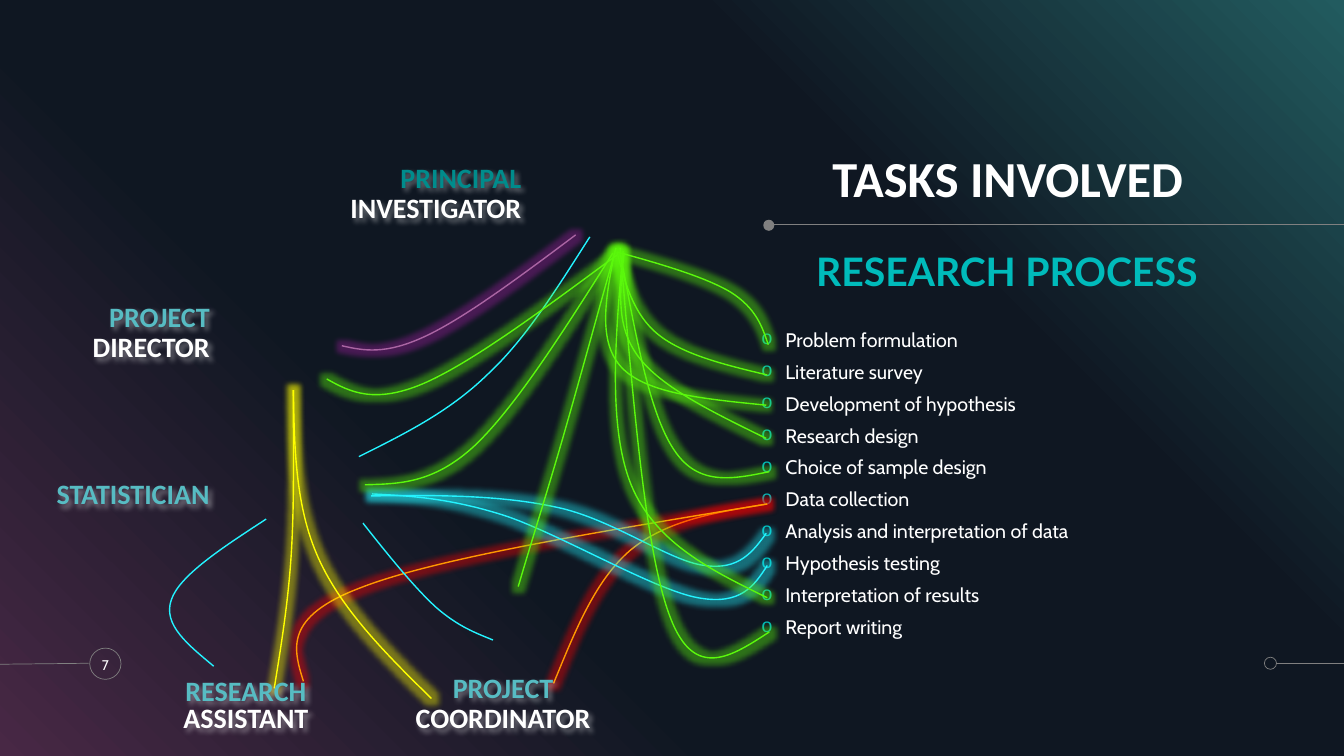
import pptx
import pptx.dml.color
import pptx.enum.shapes
import pptx.enum.text
import pptx.oxml
import pptx.oxml.ns
import pptx.util
from lxml import etree

Inches = pptx.util.Inches
Pt = pptx.util.Pt
RGBColor = pptx.dml.color.RGBColor
Shape = pptx.enum.shapes.MSO_SHAPE
Align = pptx.enum.text.PP_ALIGN
Anchor = pptx.enum.text.MSO_ANCHOR
qn = pptx.oxml.ns.qn

WHITE = RGBColor(0xFF, 0xFF, 0xFF)
BLACK = RGBColor(0x00, 0x00, 0x00)
GRAY = RGBColor(0x80, 0x80, 0x80)
PLUM = RGBColor(0x48, 0x28, 0x45)
NAVY = RGBColor(0x0F, 0x17, 0x22)
PINE = RGBColor(0x22, 0x5B, 0x5F)
TEAL = RGBColor(0x00, 0xBB, 0xBB)
DEEP_TEAL = RGBColor(0x00, 0x8C, 0x8C)
SOFT_TEAL = RGBColor(0x57, 0xBC, 0xC3)
GREEN = RGBColor(0x5B, 0xF8, 0x0C)
ORANGE = RGBColor(0xFF, 0x99, 0x00)
RED = RGBColor(0xFF, 0x00, 0x00)
CYAN = RGBColor(0x24, 0xF3, 0xFF)
YELLOW = RGBColor(0xFF, 0xFF, 0x00)
PURPLE = RGBColor(0xAA, 0x65, 0xA3)
MAGENTA = RGBColor(0xA0, 0x20, 0xA0)

BACKDROP_STOPS = [(0, PLUM), (34, NAVY), (69, NAVY), (100, PINE)]
UNITS_PER_INCH = 1000

TASKS = [
    "Problem formulation", "Literature survey", "Development of hypothesis",
    "Research design", "Choice of sample design", "Data collection",
    "Analysis and interpretation of data", "Hypothesis testing",
    "Interpretation of results", "Report writing",
]

# Each curve: line colour, glow colour, start point and cubic control points
TASK_CURVES = [
    (GREEN, GREEN, [(6.1, 2.49), (6.01, 2.94), (5.92, 3.39), (6.17, 3.65), (6.42, 3.91), (7.01, 3.96), (7.6, 4.02)]),
    (GREEN, GREEN, [(6.12, 2.5), (6.56, 2.62), (7, 2.75), (7.25, 2.9), (7.5, 3.06), (7.56, 3.24), (7.62, 3.42)]),
    (GREEN, GREEN, [(6.12, 2.5), (6.2, 2.81), (6.28, 3.12), (6.53, 3.32), (6.78, 3.52), (7.19, 3.62), (7.61, 3.72)]),
    (GREEN, GREEN, [(6.19, 2.51), (6.15, 2.88), (6.1, 3.24), (6.34, 3.55), (6.57, 3.85), (7.09, 4.1), (7.6, 4.35)]),
    (GREEN, GREEN, [(6.15, 2.5), (6.3, 3.3), (6.44, 4.11), (6.69, 4.47), (6.93, 4.83), (7.28, 4.75), (7.63, 4.68)]),
    (ORANGE, RED, [(5.49, 6.78), (5.7, 6.27), (5.9, 5.76), (6.25, 5.46), (6.61, 5.16), (7.11, 5.08), (7.61, 5)]),
    (ORANGE, RED, [(3.01, 6.76), (2.91, 6.44), (2.81, 6.12), (3.58, 5.83), (4.35, 5.53), (5.98, 5.27), (7.61, 5)]),
    (CYAN, CYAN, [(3.68, 4.92), (4.32, 4.91), (4.96, 4.91), (5.51, 5.03), (6.06, 5.14), (6.64, 5.57), (6.99, 5.61),
                  (7.33, 5.66), (7.47, 5.47), (7.6, 5.29)]),
    (CYAN, CYAN, [(3.69, 4.9), (4.07, 4.92), (4.45, 4.94), (4.99, 5.11), (5.52, 5.28), (6.48, 5.85), (6.92, 5.93),
                  (7.35, 6.01), (7.48, 5.81), (7.61, 5.61)]),
    (GREEN, GREEN, [(6.18, 2.49), (6.1, 3.36), (6.03, 4.24), (6.26, 4.81), (6.5, 5.39), (7.06, 5.66), (7.61, 5.93)]),
    (GREEN, GREEN, [(6.15, 2.46), (6.28, 3.98), (6.4, 5.49), (6.65, 6.13), (6.89, 6.76), (7.26, 6.51), (7.63, 6.27)]),
]
DIRECTOR_CURVES = [
    (YELLOW, YELLOW, [(2.91, 3.87), (2.91, 4.43), (2.92, 4.99), (2.89, 5.48), (2.86, 5.97), (2.79, 6.4), (2.72, 6.83)]),
    (YELLOW, YELLOW, [(2.91, 3.87), (2.92, 4.45), (2.93, 5.03), (3.16, 5.54), (3.39, 6.05), (3.83, 6.49), (4.28, 6.93)]),
    (CYAN, None, [(3.56, 4.53), (4, 4.31), (4.45, 4.09), (4.83, 3.72), (5.22, 3.36), (5.53, 2.85), (5.85, 2.35)]),
    (PURPLE, MAGENTA, [(3.39, 3.43), (3.61, 3.48), (3.82, 3.52), (4.21, 3.34), (4.6, 3.16), (5.15, 2.75), (5.71, 2.33)]),
]
TEAM_CURVES = [
    (CYAN, None, [(2.64, 5.15), (2.21, 5.43), (1.78, 5.71), (1.7, 5.95), (1.61, 6.2), (1.87, 6.4), (2.12, 6.61)]),
    (CYAN, None, [(3.6, 5.19), (3.86, 5.52), (4.12, 5.84), (4.33, 6.03), (4.55, 6.22), (4.72, 6.28), (4.89, 6.35)]),
    (GREEN, GREEN, [(6.11, 2.46), (5.94, 3.07), (5.77, 3.69), (5.61, 4.25), (5.45, 4.81), (5.29, 5.31), (5.14, 5.82)]),
    (GREEN, GREEN, [(6.12, 2.53), (5.4, 3.06), (4.68, 3.6), (4.19, 3.81), (3.71, 4.01), (3.47, 3.89), (3.24, 3.76)]),
    (GREEN, GREEN, [(6.08, 2.51), (5.6, 3.27), (5.12, 4.03), (4.71, 4.42), (4.3, 4.8), (3.96, 4.8), (3.62, 4.81)]),
]


def add_xml(parent, tag, **attributes):
    return etree.SubElement(parent, qn(tag), {name: str(value) for name, value in attributes.items()})


def sample_curve(points, steps=16):
    """Points along a chain of cubic segments."""
    samples = [points[0]]
    for first in range(0, len(points) - 1, 3):
        controls = points[first:first + 4]
        for step in range(1, steps + 1):
            t = step / steps
            weights = ((1 - t) ** 3, 3 * t * (1 - t) ** 2, 3 * t * t * (1 - t), t ** 3)
            samples.append(tuple(sum(w * c[axis] for w, c in zip(weights, controls)) for axis in (0, 1)))
    return samples


class TaskSlide:
    def __init__(self, presentation):
        self.shapes = presentation.slides.add_slide(presentation.slide_layouts[6]).shapes

    def effect(self, shape, kind, color, opacity, **attributes):
        shape.shadow.inherit = False
        effects = shape._element.spPr.find(qn("a:effectLst"))
        color_element = add_xml(add_xml(effects, kind, **attributes), "a:srgbClr", val=color)
        add_xml(color_element, "a:alpha", val=opacity * 1000)

    def backdrop(self, width, height):
        shape = self.shapes.add_shape(Shape.RECTANGLE, 0, 0, width, height)
        shape.shadow.inherit = False
        shape.line.fill.background()
        shape.fill.gradient()
        shape.fill.gradient_angle = 45
        stops = next(shape._element.spPr.iter(qn("a:gsLst")))
        for stop in list(stops):
            stops.remove(stop)
        for position, color in BACKDROP_STOPS:
            add_xml(add_xml(stops, "a:gs", pos=position * 1000), "a:srgbClr", val=color)

    def rule(self, x1, y1, x2, y2):
        line = self.shapes.add_connector(pptx.enum.shapes.MSO_CONNECTOR.STRAIGHT,
                                         Inches(x1), Inches(y1), Inches(x2), Inches(y2))
        line.line.color.rgb = GRAY
        line.line.width = Pt(0.5)
        add_xml(line._element.spPr, "a:effectLst")

    def circle(self, left, top, size, filled=False):
        shape = self.shapes.add_shape(Shape.OVAL, Inches(left), Inches(top), Inches(size), Inches(size))
        shape.shadow.inherit = False
        if filled:
            shape.fill.solid()
            shape.fill.fore_color.rgb = GRAY
            shape.line.fill.background()
        else:
            shape.fill.background()
            shape.line.color.rgb = GRAY
            shape.line.width = Pt(0.5)

    def text(self, box, lines, size, font, align=Align.CENTER, anchor=Anchor.TOP,
             bold=False, spacing=None, bullets=False):
        """Add a text box; lines holds (text, colour) pairs."""
        shape = self.shapes.add_textbox(*map(Inches, box))
        frame = shape.text_frame
        frame.word_wrap = True
        frame.vertical_anchor = anchor
        frame.margin_left = frame.margin_right = frame.margin_top = frame.margin_bottom = 0
        for index, (content, color) in enumerate(lines):
            paragraph = frame.add_paragraph() if index else frame.paragraphs[0]
            paragraph.text = content
            paragraph.alignment = align
            if spacing:
                paragraph.line_spacing = spacing
            if bullets:
                if index:
                    paragraph.space_before = Pt(6)
                self.bullet(paragraph)
            paragraph.font.size = Pt(size)
            paragraph.font.name = font
            paragraph.font.bold = bold
            paragraph.font.color.rgb = color
        return shape

    def bullet(self, paragraph):
        properties = paragraph._p.get_or_add_pPr()
        properties.set("marL", str(Inches(0.24)))
        properties.set("indent", str(-Inches(0.24)))
        add_xml(add_xml(properties, "a:buClr"), "a:srgbClr", val=TEAL)
        add_xml(properties, "a:buFont", typeface="Courier New")
        add_xml(properties, "a:buChar", char="o")

    def role(self, box, lines, align=Align.CENTER, spacing=0.9):
        shape = self.text(box, lines, 20, "Calibri", align, Anchor.BOTTOM, True, spacing)
        self.effect(shape, "a:outerShdw", WHITE, 40, blurRad=Pt(4), dist=Pt(3), dir=2700000)

    def curve(self, color, glow, points):
        samples = sample_curve(points)
        left, top = (min(sample[axis] for sample in samples) for axis in (0, 1))
        scaled = [(x * UNITS_PER_INCH, y * UNITS_PER_INCH) for x, y in samples]
        builder = self.shapes.build_freeform(*scaled[0], scale=Inches(1) / UNITS_PER_INCH)
        builder.add_line_segments(scaled[1:], close=False)
        shape = builder.convert_to_shape()
        outline = next(shape._element.iter(qn("a:path")))
        for segment in outline.findall(qn("a:lnTo")):
            outline.remove(segment)
        for first in range(1, len(points), 3):
            segment = add_xml(outline, "a:cubicBezTo")
            for x, y in points[first:first + 3]:
                add_xml(segment, "a:pt", x=round((x - left) * UNITS_PER_INCH), y=round((y - top) * UNITS_PER_INCH))
        shape.fill.background()
        shape.line.color.rgb = color
        shape.line.width = Pt(1)
        shape.shadow.inherit = False
        if glow:
            self.effect(shape, "a:glow", glow, 40, rad=Inches(0.11))

    def curves(self, group):
        for color, glow, points in group:
            self.curve(color, glow, points)


def main():
    presentation = pptx.Presentation()
    presentation.slide_width, presentation.slide_height = Inches(13.33), Inches(7.5)
    slide = TaskSlide(presentation)
    slide.backdrop(presentation.slide_width, presentation.slide_height)
    slide.rule(13.33, 2.23, 7.66, 2.23)
    slide.circle(7.57, 2.18, 0.11, filled=True)
    slide.rule(12.66, 6.58, 13.33, 6.58)
    slide.circle(12.54, 6.52, 0.12)
    slide.rule(0, 6.59, 0.88, 6.58)
    slide.circle(0.89, 6.43, 0.31)
    slide.text((0.85, 6.43, 0.39, 0.33), [("7", WHITE)], 10, "Cabin", anchor=Anchor.MIDDLE)
    slide.text((7.54, 1.19, 4.91, 0.88), [("TASKS INVOLVED", WHITE)], 36, "Calibri",
               anchor=Anchor.BOTTOM, bold=True, spacing=0.9)
    slide.text((7.54, 2.45, 4.89, 0.62), [("RESEARCH PROCESS", TEAL)], 28, "Lato", bold=True)
    slide.text((7.55, 3.25, 4.9, 3.18), [(task, WHITE) for task in TASKS], 14, "Cabin",
               align=Align.LEFT, bullets=True)
    slide.role((2.55, 1.65, 2.62, 0.58), [("PRINCIPAL", DEEP_TEAL), ("INVESTIGATOR", WHITE)], Align.RIGHT)
    slide.role((0.46, 3.03, 1.62, 0.58), [("PROJECT", SOFT_TEAL), ("DIRECTOR", WHITE)], Align.RIGHT)
    slide.role((0.26, 4.71, 2.12, 0.36), [("STATISTICIAN", SOFT_TEAL)])
    slide.curves(TASK_CURVES)
    slide.role((3.86, 6.71, 2.26, 0.58), [("PROJECT", SOFT_TEAL), ("COORDINATOR", WHITE)])
    slide.curves(DIRECTOR_CURVES)
    slide.role((1.56, 6.7, 1.76, 0.58), [("RESEARCH", SOFT_TEAL), ("ASSISTANT", WHITE)], spacing=0.8)
    slide.curves(TEAM_CURVES)
    presentation.save("out.pptx")


if __name__ == "__main__":
    main()
